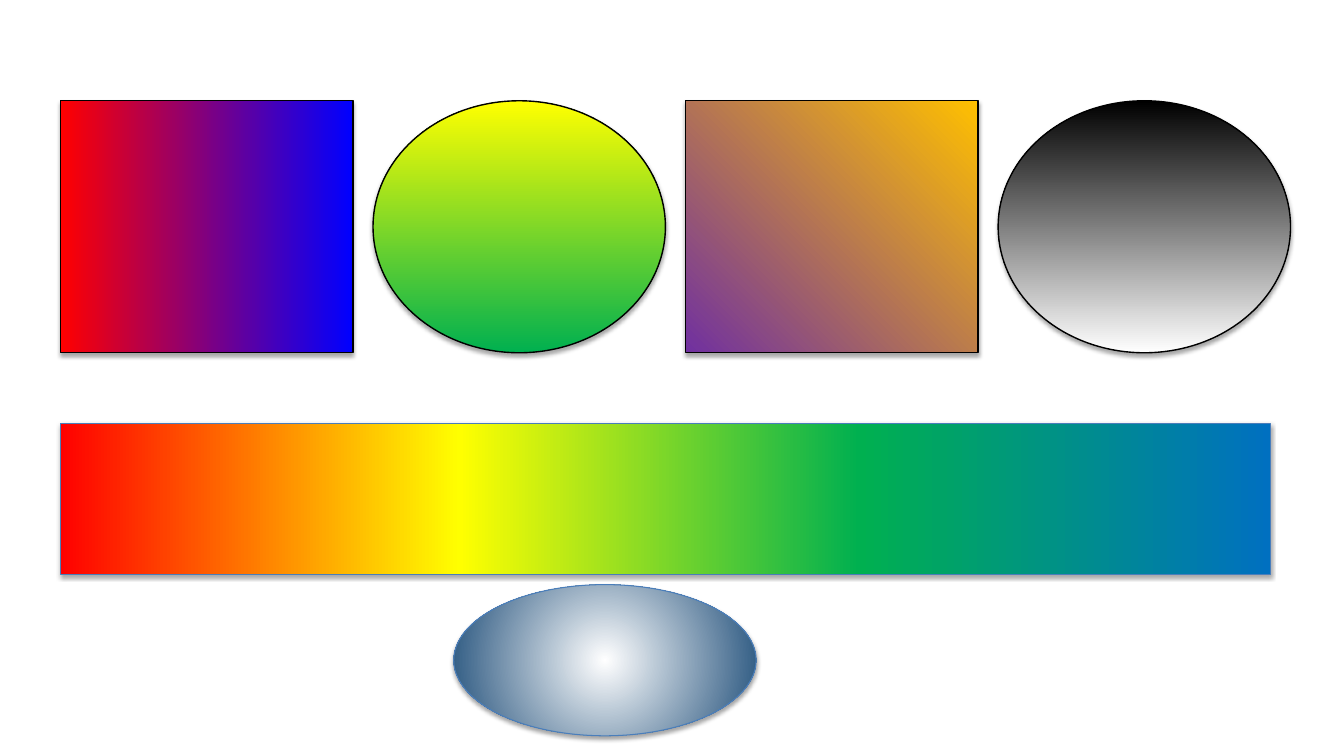
import pptx
import pptx.util
import pptx.dml.color
import pptx.enum.shapes
import pptx.oxml
import pptx.oxml.ns

RGB = pptx.dml.color.RGBColor
RED = RGB(0xFF, 0x00, 0x00)
BLUE = RGB(0x00, 0x00, 0xFF)
GREEN = RGB(0x00, 0xB0, 0x50)
YELLOW = RGB(0xFF, 0xFF, 0x00)
PURPLE = RGB(0x70, 0x30, 0xA0)
GOLD = RGB(0xFF, 0xC0, 0x00)
BLACK = RGB(0x00, 0x00, 0x00)
WHITE = RGB(0xFF, 0xFF, 0xFF)
AZURE = RGB(0x00, 0x70, 0xC0)
NAVY = RGB(0x1F, 0x4E, 0x79)
STEEL = RGB(0x4A, 0x7E, 0xBB)

RECT = pptx.enum.shapes.MSO_SHAPE.RECTANGLE
OVAL = pptx.enum.shapes.MSO_SHAPE.OVAL


class Board:
    """Draws on one slide, on a grid of tenth-inch columns and rows."""

    cell = pptx.util.Inches(0.1)

    def __init__(self, slide):
        self.slide = slide

    def shape(self, kind, col, row, cols, rows, stops, path, edge, width):
        # The theme's soft shadow stays on
        box = [n * self.cell for n in (col, row, cols, rows)]
        shape = self.slide.shapes.add_shape(kind, *box)
        shape.line.color.rgb = edge
        shape.line.width = pptx.util.Pt(width)
        self.blend(shape, stops, path)

    def blend(self, shape, stops, path):
        marks = "".join(
            f'<a:gs pos="{pos * 1000}"><a:srgbClr val="{tint}"/></a:gs>'
            for pos, tint in stops)
        grad = pptx.oxml.parse_xml(
            f'<a:gradFill {pptx.oxml.ns.nsdecls("a")} rotWithShape="1">'
            f'<a:gsLst>{marks}</a:gsLst>{path}</a:gradFill>')
        shape.fill.background()
        props = shape._element.spPr
        props.replace(props.find(pptx.oxml.ns.qn("a:noFill")), grad)

    def linear(self, kind, col, row, cols, rows, stops, angle, edge, width):
        path = f'<a:lin ang="{angle * 60000}" scaled="0"/>'
        self.shape(kind, col, row, cols, rows, stops, path, edge, width)

    def radial(self, kind, col, row, cols, rows, stops, edge, width):
        path = ('<a:path path="circle"><a:fillToRect l="50000" t="50000" '
                'r="50000" b="50000"/></a:path>')
        self.shape(kind, col, row, cols, rows, stops, path, edge, width)


def main():
    deck = pptx.Presentation()
    deck.slide_width = pptx.util.Inches(13.33)
    deck.slide_height = pptx.util.Inches(7.5)
    board = Board(deck.slides.add_slide(deck.slide_layouts[6]))

    # Top row: two-colour blends, each at its own angle
    left, wide, gap = 6, 29, 2
    swatches = [
        (RECT, RED, BLUE, 0),
        (OVAL, GREEN, YELLOW, 270),
        (RECT, PURPLE, GOLD, 315),
        (OVAL, BLACK, WHITE, 90),
    ]
    for i, (kind, start, end, angle) in enumerate(swatches):
        board.linear(kind, left + i * (wide + gap), 10, wide, 25,
                     [(0, start), (100, end)], angle, BLACK, 1)

    # Rainbow band
    band = [(0, RED), (33, YELLOW), (66, GREEN), (100, AZURE)]
    board.linear(RECT, left, 42, 120, 15, band, 0, STEEL, 0.75)

    # Radial oval
    board.radial(OVAL, 45, 58, 30, 15, [(0, WHITE), (100, NAVY)], STEEL, 0.75)

    deck.save("out.pptx")


if __name__ == "__main__":
    main()
